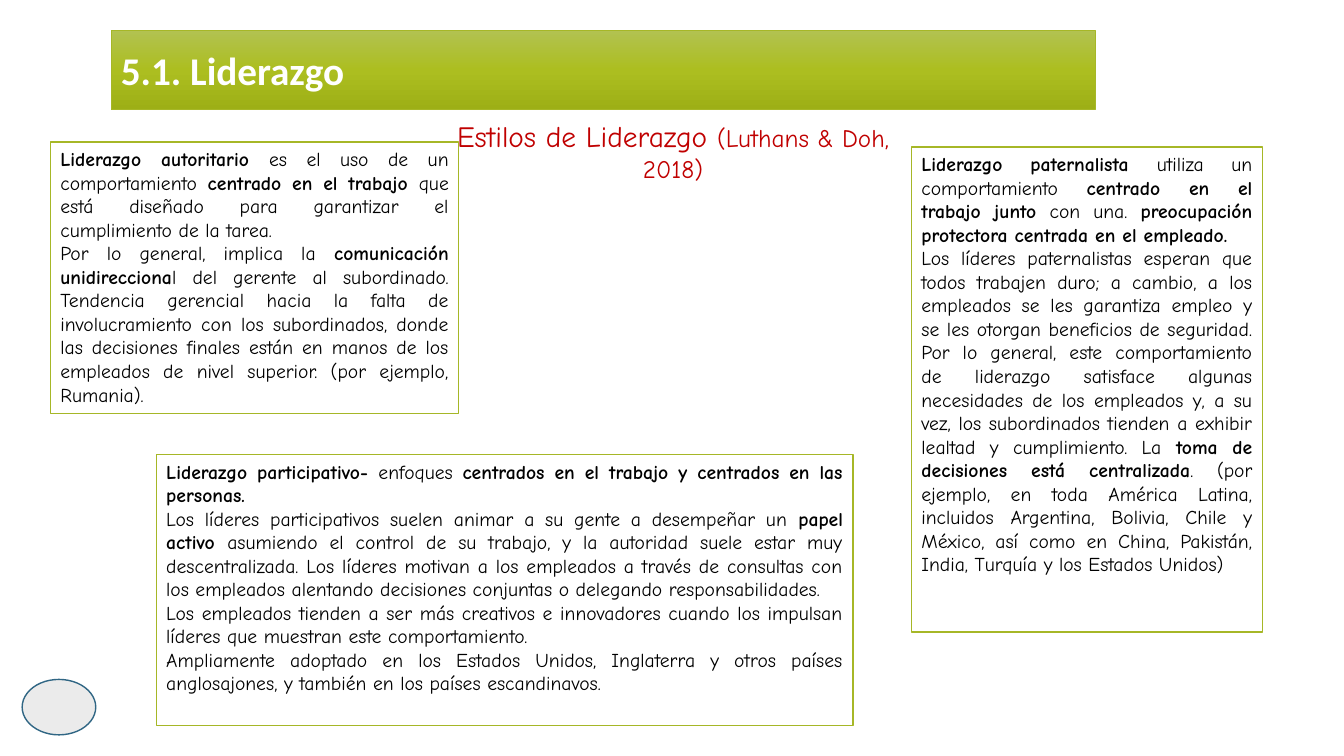
from copy import deepcopy
from dataclasses import dataclass

from pptx import Presentation
from pptx.dml.color import RGBColor
from pptx.enum.shapes import MSO_SHAPE as Shape
from pptx.enum.text import MSO_ANCHOR as Anchor, PP_ALIGN as Align
from pptx.util import Inches, Pt


@dataclass(frozen=True)
class Theme:
    """Colours, fonts and type sizes of the slide."""
    white: str = "FFFFFF"
    black: str = "000000"
    green: str = "A6B727"
    red: str = "C00000"
    badge_fill: str = "EBEBEB"
    badge_line: str = "306684"
    banner: tuple = ("B2C251", "ACBE20", "9DAF16")
    heading_font: str = "Calibri"
    body_font: str = "Comic Neue"
    heading_size: int = 28
    subtitle_size: int = 21
    citation_size: int = 18
    body_size: int = 14


THEME = Theme()

AUTHORITARIAN = (
    "**Liderazgo autoritario **es el uso de un comportamiento **centrado en el trabajo **"
    "que está diseñado para garantizar el cumplimiento de la tarea.",
    "Por lo general, implica la **comunicación unidirecciona**l del gerente al subordinado. "
    "Tendencia gerencial hacia la falta de involucramiento con los subordinados, donde las "
    "decisiones finales están en manos de los empleados de nivel superior. (por ejemplo, Rumania).",
)
PATERNALISTIC = (
    "**Liderazgo paternalista **utiliza un comportamiento **centrado en el trabajo junto** con una. "
    "**preocupación protectora centrada en el empleado.**",
    "Los líderes paternalistas esperan que todos trabajen duro; a cambio, a los empleados se les "
    "garantiza empleo y se les otorgan beneficios de seguridad. Por lo general, este comportamiento "
    "de liderazgo satisface algunas necesidades de los empleados y, a su vez, los subordinados "
    "tienden a exhibir lealtad y cumplimiento. La **toma de decisiones está centralizada**. (por "
    "ejemplo, en toda América Latina, incluidos Argentina, Bolivia, Chile y México, así como en "
    "China, Pakistán, India, Turquía y los Estados Unidos)",
)
PARTICIPATIVE = (
    "**Liderazgo participativo- **enfoques **centrados en el trabajo y centrados en las personas.**",
    "Los líderes participativos suelen animar a su gente a desempeñar un **papel activo **asumiendo "
    "el control de su trabajo, y la autoridad suele estar muy descentralizada. Los líderes motivan a "
    "los empleados a través de consultas con los empleados alentando decisiones conjuntas o "
    "delegando responsabilidades.",
    "Los empleados tienden a ser más creativos e innovadores cuando los impulsan líderes que "
    "muestran este comportamiento.",
    "Ampliamente adoptado en los Estados Unidos, Inglaterra y otros países anglosajones, y también "
    "en los países escandinavos.",
)


def rgb(code):
    """Turn a hex code into a colour."""
    return RGBColor.from_string(code)


def style(paragraph, font_name, size, colour, align):
    """Set the alignment and font of a paragraph."""
    paragraph.alignment = align
    font = paragraph.font
    font.name, font.size = font_name, Pt(size)
    font.color.rgb = rgb(colour)


def add_panel(slide, box, kind, fill, line, line_width=1):
    """Draw a filled, outlined shape in the box."""
    panel = slide.shapes.add_shape(kind, *map(Inches, box))
    panel.shadow.inherit = False
    panel.fill.solid()
    panel.fill.fore_color.rgb = rgb(fill)
    panel.line.color.rgb = rgb(line)
    panel.line.width = Pt(line_width)
    return panel


def add_leadership_style(slide, box, paragraphs):
    """Describe one leadership style, with bold text between double asterisks."""
    panel = add_panel(slide, box, Shape.RECTANGLE, THEME.white, THEME.green)
    frame = panel.text_frame
    frame.word_wrap = True
    frame.vertical_anchor = Anchor.TOP
    for index, text in enumerate(paragraphs):
        paragraph = frame.add_paragraph() if index else frame.paragraphs[0]
        style(paragraph, THEME.body_font, THEME.body_size, THEME.black, Align.JUSTIFY)
        for position, part in enumerate(text.split("**")):
            if part:
                run = paragraph.add_run()
                run.text = part
                run.font.bold = position % 2 == 1


def add_subtitle(slide, box):
    """Write the topic and its citation, centred in the box."""
    frame = slide.shapes.add_textbox(*map(Inches, box)).text_frame
    frame.word_wrap = True
    frame.vertical_anchor = Anchor.MIDDLE
    frame.margin_left = frame.margin_right = frame.margin_bottom = 0
    frame.margin_top = Inches(0.01)
    paragraph = frame.paragraphs[0]
    style(paragraph, THEME.body_font, THEME.subtitle_size, THEME.red, Align.CENTER)
    paragraph.add_run().text = "Estilos de Liderazgo "
    citation = paragraph.add_run()
    citation.text = "(Luthans & Doh, 2018)"
    citation.font.size = Pt(THEME.citation_size)


def add_banner(slide, box):
    """Draw the section heading on a vertical green gradient."""
    banner = add_panel(slide, box, Shape.RECTANGLE, THEME.green, THEME.green, 0.5)
    banner.fill.gradient()
    banner.fill.gradient_angle = 270
    first_stop = banner.element.spPr.find(".//{*}gs")
    middle_stop = deepcopy(first_stop)
    middle_stop.set("pos", "50000")
    first_stop.addnext(middle_stop)
    for stop, colour in zip(banner.fill.gradient_stops, THEME.banner):
        stop.color.rgb = rgb(colour)
    frame = banner.text_frame
    frame.word_wrap = True
    frame.vertical_anchor = Anchor.MIDDLE
    heading = frame.paragraphs[0]
    heading.text = "5.1. Liderazgo"
    style(heading, THEME.heading_font, THEME.heading_size, THEME.white, Align.JUSTIFY)
    heading.font.bold = True


def main():
    """Build the leadership slide and save it."""
    deck = Presentation()
    deck.slide_width, deck.slide_height = Inches(13.33), Inches(7.5)
    slide = deck.slides.add_slide(deck.slide_layouts[6])
    add_panel(slide, (0.22, 6.74, 0.73, 0.55), Shape.OVAL, THEME.badge_fill, THEME.badge_line)
    add_leadership_style(slide, (0.5, 1.41, 4.05, 2.69), AUTHORITARIAN)
    add_leadership_style(slide, (9.04, 1.46, 3.48, 4.81), PATERNALISTIC)
    add_leadership_style(slide, (1.55, 4.51, 6.91, 2.69), PARTICIPATIVE)
    add_subtitle(slide, (4.48, 1.16, 4.39, 0.66))
    add_banner(slide, (1.1, 0.3, 9.76, 0.79))
    deck.save("out.pptx")


if __name__ == "__main__":
    main()
